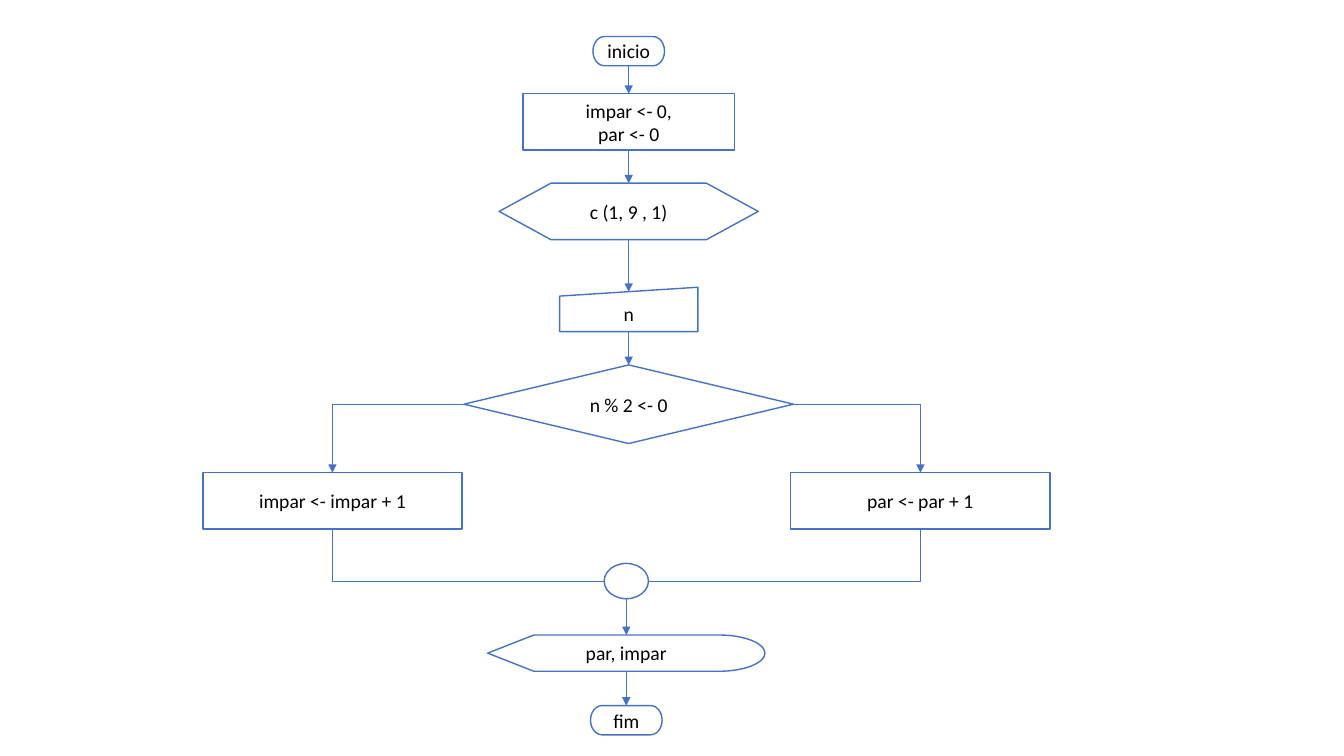
from dataclasses import dataclass

from lxml import etree
from pptx import Presentation
from pptx.dml.color import RGBColor
from pptx.enum.shapes import MSO_CONNECTOR, MSO_SHAPE
from pptx.enum.text import MSO_ANCHOR, PP_ALIGN
from pptx.oxml.ns import qn
from pptx.util import Inches, Pt

TERMINATOR = MSO_SHAPE.FLOWCHART_TERMINATOR
RECTANGLE = MSO_SHAPE.RECTANGLE
PREPARATION = MSO_SHAPE.FLOWCHART_PREPARATION
MANUAL_INPUT = MSO_SHAPE.FLOWCHART_MANUAL_INPUT
DECISION = MSO_SHAPE.FLOWCHART_DECISION
JUNCTION = MSO_SHAPE.FLOWCHART_CONNECTOR
DISPLAY = MSO_SHAPE.FLOWCHART_DISPLAY
STRAIGHT = MSO_CONNECTOR.STRAIGHT
ELBOW = MSO_CONNECTOR.ELBOW
MIDDLE = MSO_ANCHOR.MIDDLE
CENTER = PP_ALIGN.CENTER
TOP, LEFT, BOTTOM, RIGHT = range(4)


@dataclass(frozen=True)
class Theme:
    ink: RGBColor = RGBColor(0, 0, 0)
    paper: RGBColor = RGBColor(255, 255, 255)
    accent: RGBColor = RGBColor(0x44, 0x72, 0xC4)
    font: str = "Calibri"
    text_size: float = 14
    outline: float = 1
    link: float = 0.5


class Flowchart:
    def __init__(self, presentation, theme):
        self.theme = theme
        self.slide = presentation.slides.add_slide(presentation.slide_layouts[6])
        self.column = presentation.slide_width / 100
        self.row = presentation.slide_height / 100

    def step(self, kind, center, top, width, height, *lines):
        shape = self.slide.shapes.add_shape(
            kind,
            round((center - width / 2) * self.column),
            round(top * self.row),
            round(width * self.column),
            round(height * self.row),
        )
        shape.shadow.inherit = False
        shape.fill.solid()
        shape.fill.fore_color.rgb = self.theme.paper
        shape.line.color.rgb = self.theme.accent
        shape.line.width = Pt(self.theme.outline)
        self.label(shape.text_frame, lines)
        return shape

    def label(self, frame, lines):
        frame.word_wrap = True
        frame.vertical_anchor = MIDDLE
        frame.margin_left = frame.margin_right = 0
        frame.margin_top = frame.margin_bottom = 0
        for index, line in enumerate(lines):
            paragraph = frame.add_paragraph() if index else frame.paragraphs[0]
            paragraph.alignment = CENTER
            run = paragraph.add_run()
            run.text = line
            run.font.name = self.theme.font
            run.font.size = Pt(self.theme.text_size)
            run.font.color.rgb = self.theme.ink

    def anchor(self, shape, side):
        across = {LEFT: 0, RIGHT: 1}.get(side, 0.5)
        down = {TOP: 0, BOTTOM: 1}.get(side, 0.5)
        if shape.auto_shape_type == MANUAL_INPUT and side == TOP:
            down = 0.1
        return (
            round(shape.left + across * shape.width),
            round(shape.top + down * shape.height),
        )

    def link(self, start, start_side, end, end_side, kind=STRAIGHT, arrow=True):
        end_point = self.anchor(end, end_side)
        connector = self.slide.shapes.add_connector(
            kind, *self.anchor(start, start_side), *end_point
        )
        if start.auto_shape_type == JUNCTION:
            properties = connector._element.nvCxnSpPr.cNvCxnSpPr
            joint = properties.get_or_add_stCxn()
            joint.id, joint.idx = start.shape_id, start_side * 2
        else:
            connector.begin_connect(start, start_side)
        connector.end_connect(end, end_side)
        connector.end_x, connector.end_y = end_point
        connector.line.color.rgb = self.theme.accent
        connector.line.width = Pt(self.theme.link)
        properties = connector._element.spPr
        if kind == ELBOW:
            properties.find(qn("a:prstGeom")).set("prst", "bentConnector2")
        if arrow:
            outline = properties.find(qn("a:ln"))
            etree.SubElement(outline, qn("a:tailEnd")).set("type", "triangle")
        etree.SubElement(properties, qn("a:effectLst"))


def main():
    presentation = Presentation()
    presentation.slide_width = Inches(13.33)
    presentation.slide_height = Inches(7.5)
    chart = Flowchart(presentation, Theme())

    main_axis, merge_axis, odd_axis, even_axis = 46.78, 46.6, 24.74, 68.48
    terminator_size = 5.33, 3.87
    box_size = 19.28, 7.47

    begin = chart.step(TERMINATOR, main_axis, 4.83, *terminator_size, "inicio")
    setup = chart.step(
        RECTANGLE, main_axis, 12.4, 15.75, 7.47, "impar <- 0,", "par <- 0"
    )
    loop = chart.step(PREPARATION, main_axis, 24.23, *box_size, "c (1, 9 , 1)")
    number = chart.step(MANUAL_INPUT, main_axis, 38, 10.28, 5.87, "n")
    test = chart.step(DECISION, main_axis, 48.27, 24.53, 10.4, "n % 2 <- 0")
    even = chart.step(RECTANGLE, even_axis, 62.53, *box_size, "par <- par + 1")
    odd = chart.step(RECTANGLE, odd_axis, 62.53, *box_size, "impar <- impar + 1")
    junction = chart.step(JUNCTION, merge_axis, 74.53, 3.3, 4.67)
    finish = chart.step(TERMINATOR, merge_axis, 93.33, *terminator_size, "fim")
    result = chart.step(DISPLAY, merge_axis, 84, 20.63, 4.8, "par, impar")

    for chain in ((begin, setup, loop, number, test), (junction, result, finish)):
        for upper, lower in zip(chain, chain[1:]):
            chart.link(upper, BOTTOM, lower, TOP)
    for side, branch in ((RIGHT, even), (LEFT, odd)):
        chart.link(test, side, branch, TOP, ELBOW)
        chart.link(junction, side, branch, BOTTOM, ELBOW, arrow=False)

    presentation.save("out.pptx")


if __name__ == "__main__":
    main()
